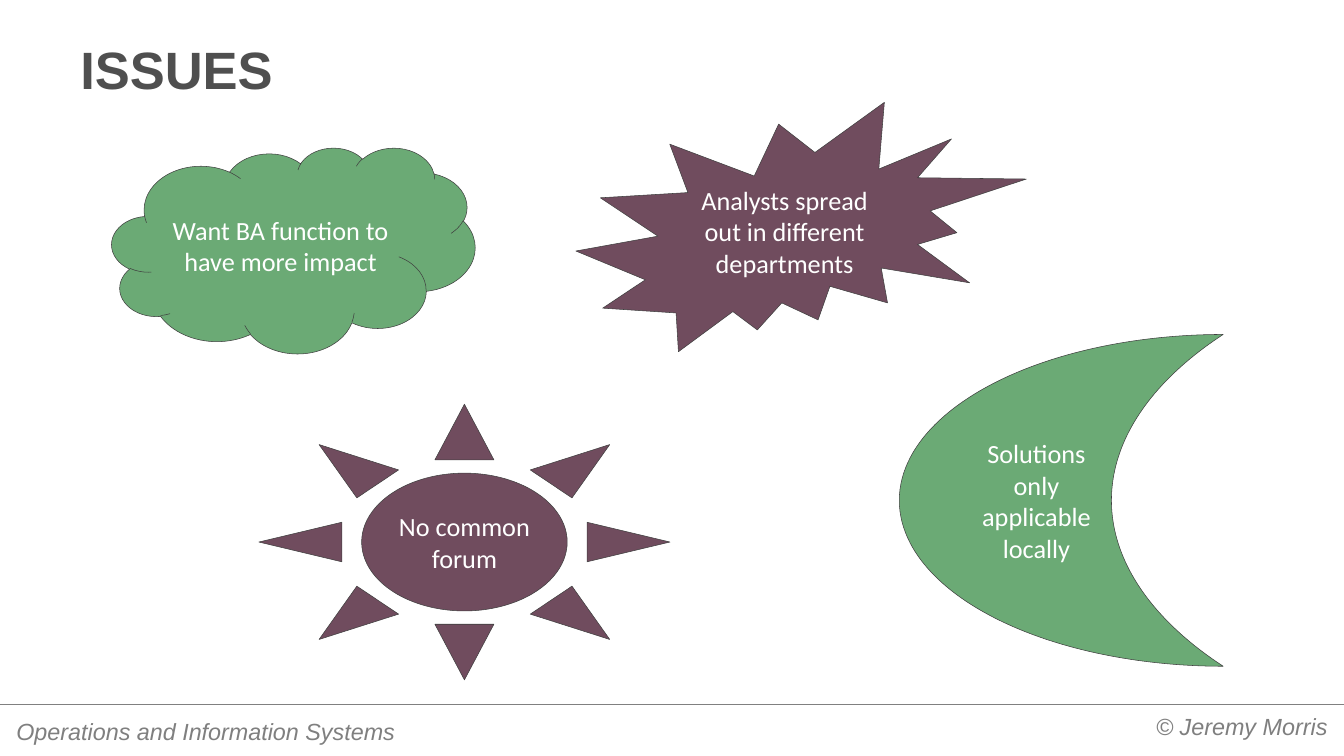
"""Build the "ISSUES" slide: four issue shapes above a footer."""
from dataclasses import dataclass

from lxml import etree
from pptx import Presentation
from pptx import util as u
from pptx.dml.color import RGBColor
from pptx.enum import shapes, text
from pptx.oxml import ns

WIDTH, HEIGHT = u.Inches(25.6), u.Inches(14.4)
GREEN = RGBColor(0x6B, 0xAA, 0x75)
PLUM = RGBColor(0x70, 0x4C, 0x5E)
OUTLINE = RGBColor(0x40, 0x40, 0x40)
HEADING = RGBColor(0x4F, 0x4F, 0x4F)
FOOTER = RGBColor(0x7F, 0x7F, 0x7F)
RULE = RGBColor(0x80, 0x80, 0x80)
WHITE = RGBColor(0xFF, 0xFF, 0xFF)


@dataclass(frozen=True)
class Area:
    """Left, top, width and height as percentages of the slide."""
    left: float
    top: float
    width: float
    height: float

    def box(self) -> tuple[int, int, int, int]:
        return (across(self.left), down(self.top),
                across(self.width), down(self.height))


@dataclass(frozen=True)
class Issue:
    wording: str
    outline: shapes.MSO_SHAPE
    fill: RGBColor
    area: Area
    adjustments: tuple[float, ...] = ()


@dataclass(frozen=True)
class FooterNote:
    wording: str
    align: text.PP_ALIGN
    area: Area


TITLE_AREA = Area(5, 3.68, 90, 10.35)
RULE_TOP = 93.13
ISSUES = (
    Issue("Want BA function to have more impact", shapes.MSO_SHAPE.CLOUD,
          GREEN, Area(8.32, 19.51, 27.03, 27.22)),
    Issue("Analysts spread out in different departments",
          shapes.MSO_SHAPE.EXPLOSION2, PLUM, Area(42.85, 13.54, 33.52, 32.99)),
    Issue("No common forum", shapes.MSO_SHAPE.SUN,
          PLUM, Area(19.26, 53.47, 30.59, 36.46)),
    Issue("Solutions only applicable locally", shapes.MSO_SHAPE.MOON,
          GREEN, Area(66.91, 44.24, 24.1, 43.89), (0.655,)),
)
FOOTER_NOTES = (
    FooterNote("© Jeremy Morris", text.PP_ALIGN.RIGHT,
               Area(56.95, 93.61, 42.54, 5)),
    FooterNote("Operations and Information Systems", text.PP_ALIGN.LEFT,
               Area(0.51, 94.17, 34.18, 5)),
)


def across(percent: float) -> int:
    return round(WIDTH * percent / 100)


def down(percent: float) -> int:
    return round(HEIGHT * percent / 100)


def write(frame, wording: str, align: text.PP_ALIGN, face: str, size: float,
          color: RGBColor, bold: bool = False, italic: bool = False) -> None:
    frame.word_wrap = True
    frame.text = wording
    paragraph = frame.paragraphs[0]
    paragraph.alignment = align
    font = paragraph.font
    font.name, font.size = face, u.Pt(size)
    font.bold, font.italic = bold, italic
    font.color.rgb = color


def set_insets(frame, side: float, edge: float) -> None:
    frame.margin_left = frame.margin_right = u.Inches(side)
    frame.margin_top = frame.margin_bottom = u.Inches(edge)


def draw_rule(slide) -> None:
    rule = slide.shapes.add_connector(
        shapes.MSO_CONNECTOR.STRAIGHT, 0, down(RULE_TOP), WIDTH, down(RULE_TOP))
    rule.line.color.rgb = RULE
    rule.line.width = u.Pt(0.75)
    etree.SubElement(rule._element.spPr, ns.qn("a:effectLst"))


def draw_footer_note(slide, note: FooterNote) -> None:
    frame = slide.shapes.add_textbox(*note.area.box()).text_frame
    set_insets(frame, 0.18, 0.09)
    write(frame, note.wording, note.align, "Arial", 32, FOOTER, italic=True)


def draw_title(slide) -> None:
    title = slide.shapes.title
    title.left, title.top, title.width, title.height = TITLE_AREA.box()
    frame = title.text_frame
    frame.auto_size = text.MSO_AUTO_SIZE.NONE
    frame.vertical_anchor = text.MSO_ANCHOR.BOTTOM
    set_insets(frame, 0.25, 0.12)
    write(frame, "ISSUES", text.PP_ALIGN.LEFT, "Arial", 72, HEADING, bold=True)


def draw_issue(slide, issue: Issue) -> None:
    shape = slide.shapes.add_shape(issue.outline, *issue.area.box())
    for index, value in enumerate(issue.adjustments):
        shape.adjustments[index] = value
    shape.shadow.inherit = False
    shape.fill.solid()
    shape.fill.fore_color.rgb = issue.fill
    shape.line.color.rgb = OUTLINE
    shape.line.width = u.Pt(0.75)
    shape.text_frame.vertical_anchor = text.MSO_ANCHOR.MIDDLE
    write(shape.text_frame, issue.wording, text.PP_ALIGN.CENTER,
          "Calibri", 36, WHITE)


def main() -> None:
    deck = Presentation()
    deck.slide_width, deck.slide_height = WIDTH, HEIGHT
    slide = deck.slides.add_slide(deck.slide_layouts.get_by_name("Title Only"))
    draw_rule(slide)
    for note in FOOTER_NOTES:
        draw_footer_note(slide, note)
    draw_title(slide)
    for issue in ISSUES:
        draw_issue(slide, issue)
    deck.save("out.pptx")


if __name__ == "__main__":
    main()
